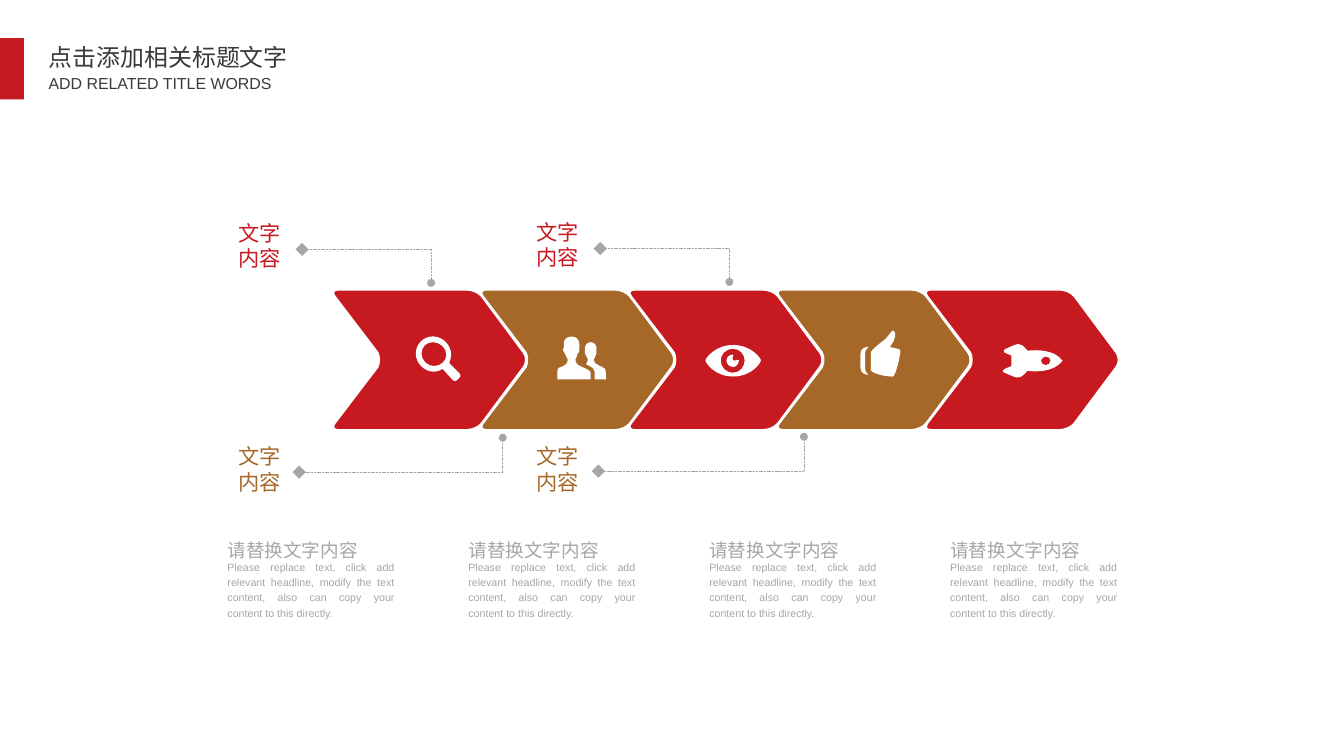
from lxml.etree import SubElement
from pptx import Presentation
from pptx.dml.color import RGBColor
from pptx.enum.dml import MSO_LINE
from pptx.enum.shapes import MSO_CONNECTOR, MSO_SHAPE
from pptx.enum.text import MSO_ANCHOR, MSO_AUTO_SIZE, PP_ALIGN
from pptx.oxml.ns import qn
from pptx.util import Pt

PX = 9144  # EMU per px, 100 px to the inch

RED = RGBColor(0xC7, 0x19, 0x20)
BROWN = RGBColor(0xA6, 0x68, 0x29)
GREY = RGBColor(0xA6, 0xA6, 0xA6)
DARK = RGBColor(0x3B, 0x38, 0x38)
WHITE = RGBColor(0xFF, 0xFF, 0xFF)

LATIN_FONT = "Arial"
CHINESE_FONT = "Noto Sans CJK SC"

POINTS_PER_COMMAND = {"M": 1, "L": 1, "C": 3, "Z": 0}

CHEVRON = (
    "M 157 140 C 154 144 147 147 141 147 L 7 147 C 2 147 0 144 3 140 "
    "L 48 81 C 50 77 50 70 48 66 L 3 7 C 0 3 2 0 7 0 L 141 0 "
    "C 147 0 154 3 157 7 L 201 66 C 204 70 204 77 201 81 Z"
)
MAGNIFIER = (
    "M 46 39 L 35 28 C 36 25 37 22 37 19 C 37 9 28 0 18 0 C 8 0 0 8 0 18 "
    "C 0 28 9 37 19 37 C 22 37 25 36 28 34 L 39 46 C 40 47 42 47 43 46 "
    "L 46 43 C 47 42 47 40 46 39 Z "
    "M 6 18 C 6 11 11 6 18 6 C 25 6 32 12 32 19 C 32 26 26 31 19 31 "
    "C 12 31 6 25 6 18 Z"
)
PEOPLE = (
    "M 51 45 C 51 45 51 35 50 34 C 49 33 47 32 43 30 C 40 29 38 27 38 24 "
    "C 38 23 40 23 40 20 C 40 19 41 20 41 17 L 41 12 C 41 11 40 6 35 6 "
    "C 30 6 29 11 29 12 L 29 17 C 29 20 30 19 30 20 C 31 23 32 23 32 24 "
    "C 32 26 31 28 30 29 C 38 33 39 34 39 37 L 39 45 Z "
    "M 26 32 C 21 30 19 28 19 24 C 19 22 21 22 21 18 C 22 16 23 18 23 14 "
    "L 23 8 C 23 6 22 0 15 0 C 8 0 6 6 7 8 L 7 12 C 7 12 6 12 6 14 "
    "C 7 18 8 16 8 18 C 9 22 11 22 11 24 C 11 28 9 30 4 32 "
    "C 2 32 0 33 0 36 L 0 45 L 35 45 L 35 38 C 35 36 31 34 26 32 Z"
)
EYE = (
    "M 29 0 C 10 0 0 14 0 16 C 0 19 10 33 29 33 C 48 33 58 19 58 16 "
    "C 58 14 48 0 29 0 Z "
    "M 29 29 C 21 29 16 23 16 16 C 16 10 21 4 29 4 C 36 4 41 10 41 16 "
    "C 41 23 36 29 29 29 Z "
    "M 29 16 C 27 15 30 10 29 10 C 25 10 22 13 22 16 C 22 20 25 23 29 23 "
    "C 32 23 35 20 35 16 C 35 15 30 17 29 16 Z"
)
THUMB = (
    "M 31 19 C 31 18 40 9 35 2 C 33 0 29 10 22 14 C 19 17 11 22 11 25 "
    "L 11 43 C 11 46 24 50 34 50 C 37 50 42 27 42 23 C 42 20 31 20 31 19 Z "
    "M 8 19 C 6 19 0 20 0 27 L 0 40 C 0 47 6 48 8 48 C 10 48 5 47 5 42 "
    "L 5 25 C 5 21 10 19 8 19 Z"
)
ROCKET = (
    "M 26 38 C 26 38 51 42 62 28 L 63 27 L 62 27 C 52 13 26 17 26 17 "
    "C 18 7 17 9 3 15 C 0 16 1 18 2 19 L 9 22 L 9 33 L 2 36 "
    "C 0 37 -1 39 2 40 C 16 46 17 48 26 38 Z "
    "M 40 27 C 41 25 43 23 45 23 C 48 23 50 25 50 27 C 50 30 48 32 45 32 "
    "C 42 32 40 30 40 27 Z"
)

CHEVRON_LEFT, CHEVRON_TOP, CHEVRON_STEP = 347, 303, 155
STEPS = [  # chevron colour, icon outline, icon left and top
    (RED, MAGNIFIER, 435, 352),
    (BROWN, PEOPLE, 583, 352),
    (RED, EYE, 738, 361),
    (BROWN, THUMB, 900, 344),
    (RED, ROCKET, 1049, 350),
]
CALLOUTS = [  # colour, label left and top, corner, diamond x, dot y
    (RED, 244, 230, (451, 261), 316, 296),
    (BROWN, 244, 464, (526, 494), 313, 458),
    (RED, 556, 229, (763, 260), 628, 295),
    (BROWN, 556, 464, (841, 493), 626, 457),
]
COLUMN_LEFT, COLUMN_STEP, COLUMN_COUNT = 238, 252, 4
DESCRIPTION = (
    "Please replace text, click add relevant headline, modify the text content, "
    "also can copy your content to this directly."
)


def px(*lengths):
    return [length * PX for length in lengths]


def set_values(target, values):
    for name, value in values.items():
        setattr(target, name, value)


def read_outline(outline):
    """Return the command letters and the points of each contour."""
    commands, contours = [], []
    tokens = iter(outline.split())
    for command in tokens:
        commands.append(command)
        if command == "M":
            contours.append([])
        for _ in range(POINTS_PER_COMMAND[command]):
            contours[-1].append(px(int(next(tokens)), int(next(tokens))))
    return commands, contours


def bend_curves(shape, commands):
    """Join the three straight segments of each C command into one cubic curve."""
    outline = shape._element.find(".//" + qn("a:path"))
    segments = iter(list(outline))
    for command in commands:
        parts = [next(segments) for _ in range(POINTS_PER_COMMAND[command] or 1)]
        if command == "C":
            curve = SubElement(outline, qn("a:cubicBezTo"))
            parts[0].addprevious(curve)
            for part in parts:
                curve.append(part[0])
                outline.remove(part)


def add_outline(shapes, outline, left, top, color):
    commands, (first, *others) = read_outline(outline)
    builder = shapes.build_freeform(*first[0], scale=1.0)
    builder.add_line_segments(first[1:], close=True)
    for contour in others:
        builder.move_to(*contour[0])
        builder.add_line_segments(contour[1:], close=True)
    shape = builder.convert_to_shape(*px(left, top))
    bend_curves(shape, commands)
    fill_shape(shape, color)
    return shape


def fill_shape(shape, color):
    shape.shadow.inherit = False
    shape.fill.solid()
    shape.fill.fore_color.rgb = color
    shape.line.fill.background()


def write_text(shape, text, size, color, align, font=LATIN_FONT, margins=(0, 0),
               spacing=1.0, wrap=True):
    horizontal, vertical = px(*margins)
    frame = shape.text_frame
    set_values(frame, {
        "word_wrap": wrap, "auto_size": MSO_AUTO_SIZE.NONE,
        "vertical_anchor": MSO_ANCHOR.TOP,
        "margin_left": horizontal, "margin_right": horizontal,
        "margin_top": vertical, "margin_bottom": vertical,
    })
    paragraph = frame.paragraphs[0]
    set_values(paragraph, {"alignment": align, "line_spacing": spacing})
    run = paragraph.add_run()
    run.text = text
    set_values(run.font, {"size": Pt(size), "name": font})
    run.font.color.rgb = color
    SubElement(run.font._element, qn("a:ea"), typeface=CHINESE_FONT)


def add_text(slide, box, *content, **options):
    write_text(slide.shapes.add_textbox(*px(*box)), *content, **options)


def add_dashed_line(slide, start, end, **arrowhead):
    connector = slide.shapes.add_connector(MSO_CONNECTOR.STRAIGHT, *px(*start, *end))
    set_values(connector.line, {"width": Pt(0.5), "dash_style": MSO_LINE.SQUARE_DOT})
    connector.line.color.rgb = GREY
    properties = connector._element.spPr
    SubElement(properties.find(qn("a:ln")), qn("a:tailEnd"), **arrowhead)
    SubElement(properties, qn("a:effectLst"))


def add_callout(slide, color, left, top, corner, diamond_x, dot_y):
    add_dashed_line(slide, corner, (corner[0], dot_y), type="oval")
    add_dashed_line(slide, corner, (diamond_x, corner[1]), type="diamond", w="lg", len="lg")
    add_text(slide, (left, top, 55, 54), "文字内容", 16, color, PP_ALIGN.CENTER)


def add_heading(slide):
    bar = slide.shapes.add_shape(MSO_SHAPE.RECTANGLE, *px(0, 40, 25, 64))
    fill_shape(bar, RED)
    title = slide.shapes.title
    set_values(title, dict(zip(("left", "top", "width", "height"), px(41, 40, 274, 41))))
    options = {"margins": (10, 5), "wrap": False}
    write_text(title, "点击添加相关标题文字", 18, DARK, PP_ALIGN.LEFT,
               font=CHINESE_FONT, **options)
    add_text(slide, (41, 72, 257, 31), "ADD RELATED TITLE WORDS", 12, DARK,
             PP_ALIGN.LEFT, **options)


def add_column(slide, left):
    style = (GREY, PP_ALIGN.JUSTIFY)
    add_text(slide, (left, 559, 141, 28), "请替换文字内容", 14, *style, spacing=1.2)
    add_text(slide, (left, 584, 175, 63), DESCRIPTION, 8, *style, spacing=1.2)


def main():
    presentation = Presentation()
    set_values(presentation, dict(zip(("slide_width", "slide_height"), px(1406, 791))))
    slide = presentation.slides.add_slide(presentation.slide_layouts.get_by_name("Title Only"))
    add_heading(slide)
    for index, (color, icon, left, top) in enumerate(STEPS):
        chevron = add_outline(slide.shapes, CHEVRON, CHEVRON_LEFT + index * CHEVRON_STEP,
                              CHEVRON_TOP, color)
        chevron.line.color.rgb = WHITE
        chevron.line.width = Pt(1.5)
        add_outline(slide.shapes, icon, left, top, WHITE)
    for callout in CALLOUTS:
        add_callout(slide, *callout)
    for index in range(COLUMN_COUNT):
        add_column(slide, COLUMN_LEFT + index * COLUMN_STEP)
    presentation.save("out.pptx")


if __name__ == "__main__":
    main()
